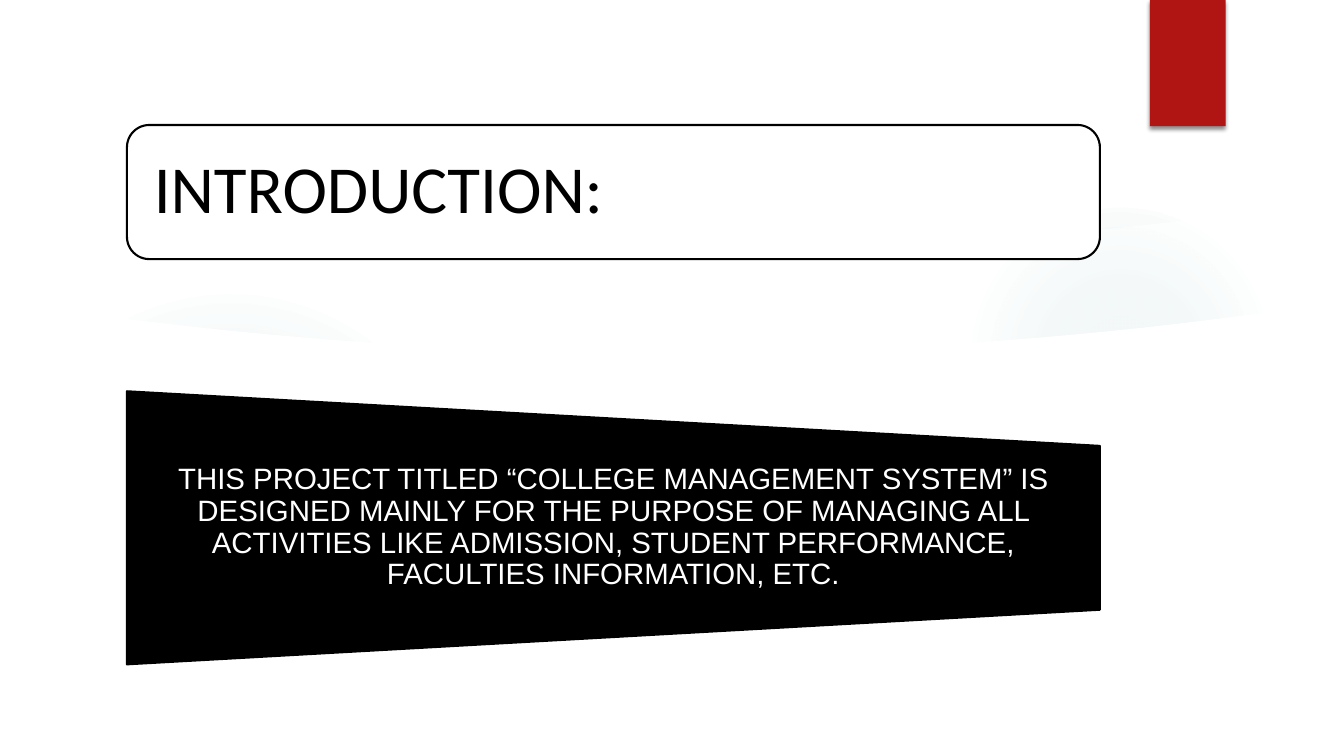
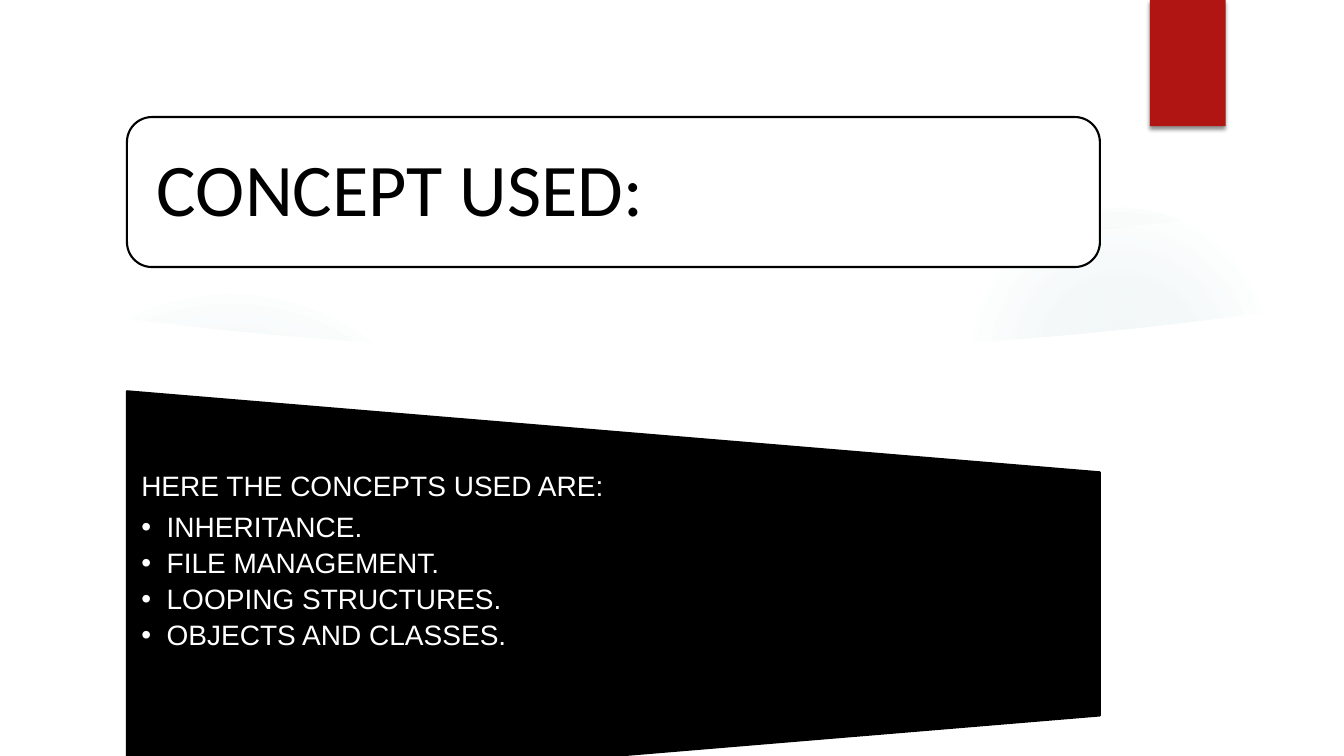
from pptx import Presentation, oxml
from pptx import util as u
from pptx.dml.color import RGBColor
from pptx.enum import shapes, text
from pptx.oxml.ns import nsdecls, qn

Cm, Pt = u.Cm, u.Pt
KIND = shapes.MSO_SHAPE
ALIGN = text.PP_ALIGN
ANCHOR = text.MSO_ANCHOR


class Theme:
    white = "FFFFFF"
    black = "000000"
    red = "B01513"
    teal = "5F9C9D"
    head = "Calibri"
    body = "Arial"
    edge = Pt(1.5)
    lead = 0.9
    after = {0: Pt(8), 1: Pt(4)}


PAGES = [
    {
        "title": "INTRODUCTION:",
        "size": 48,
        "frame": 3.38,
        "panel": 6.88,
        "pad": 0.38,
        "type": 21,
        "align": ALIGN.CENTER,
        "anchor": ANCHOR.MIDDLE,
        "lines": [
            (0, "THIS PROJECT TITLED “COLLEGE MANAGEMENT SYSTEM” IS DESIGNED "
                "MAINLY FOR THE PURPOSE OF MANAGING ALL ACTIVITIES LIKE ADMISSION, "
                "STUDENT PERFORMANCE, FACULTIES INFORMATION, ETC."),
        ],
    },
    {
        "title": "CONCEPT USED:",
        "size": 53,
        "frame": 3.78,
        "panel": 10.21,
        "pad": 0.36,
        "type": 20,
        "align": ALIGN.LEFT,
        "anchor": ANCHOR.TOP,
        "lines": [
            (0, "HERE THE CONCEPTS USED ARE:"),
            (1, "INHERITANCE."),
            (1, "FILE MANAGEMENT."),
            (1, "LOOPING STRUCTURES."),
            (1, "OBJECTS AND CLASSES."),
        ],
    },
]

WIDE, HIGH = 33.87, 19.05
LEFT, SPAN = 3.2, 24.52
HEAD_MID, PANEL_TOP = 4.84, 9.86
HANG = 0.64
GLOWS = [
    ((24.33, 5.08, 7.82), [(0, 7), (36, 6), (69, 0)]),
    ((0, 7.42, 11.63), [(0, 11), (36, 10), (75, 0)]),
]
WAVES = [5.2, 7.78]
SIDE, BASE, DIP, STEPS = 1.27, 17.78, 1.12, 40
RIBBON = (28.98, 0, 1.91, 3.18)


def put(obj, vals):
    for key, val in vals.items():
        setattr(obj, key, val)


def rgb(code):
    return RGBColor.from_string(code)


def paint(shape, fill, line=None):
    shape.shadow.inherit = False
    shape.fill.solid()
    shape.fill.fore_color.rgb = rgb(fill)
    if line:
        shape.line.color.rgb = rgb(line)
        shape.line.width = Theme.edge
    else:
        shape.line.fill.background()
    return shape


def draw(page, kind, box, fill, line=None):
    return paint(page.shapes.add_shape(kind, *map(Cm, box)), fill, line)


def glow(page, spot, stops):
    x, y, size = spot
    shape = draw(page, KIND.OVAL, (x, y, size, size), Theme.teal)
    marks = "".join(
        f'<a:gs pos="{pos * 1000}"><a:srgbClr val="{Theme.teal}">'
        f'<a:alpha val="{alpha * 1000}"/></a:srgbClr></a:gs>'
        for pos, alpha in stops
    )
    grad = oxml.parse_xml(
        f'<a:gradFill {nsdecls("a")} rotWithShape="1"><a:gsLst>{marks}</a:gsLst>'
        '<a:path path="circle"><a:fillToRect l="50000" t="50000" r="50000" b="50000"/>'
        '</a:path></a:gradFill>'
    )
    props = shape.element.spPr
    props.replace(props.find(qn("a:solidFill")), grad)
    return shape


def wave(page, top):
    half = WIDE / 2 - SIDE
    curve = []
    for i in range(STEPS + 1):
        t = 2 * i / STEPS - 1
        curve.append((Cm(WIDE / 2 + half * t), Cm(top + DIP * (1 - t * t))))
    pen = page.shapes.build_freeform(*curve[0])
    pen.add_line_segments(
        curve[1:] + [(Cm(WIDE - SIDE), Cm(BASE)), (Cm(SIDE), Cm(BASE))], close=True
    )
    return paint(pen.convert_to_shape(), Theme.white)


def ribbon(page):
    shape = draw(page, KIND.RECTANGLE, RIBBON, Theme.red)
    cast = oxml.parse_xml(
        f'<a:outerShdw {nsdecls("a")} blurRad="{Pt(3)}" dist="{Pt(2)}" dir="5400000" '
        f'rotWithShape="0"><a:srgbClr val="{Theme.black}"><a:alpha val="45000"/>'
        '</a:srgbClr></a:outerShdw>'
    )
    shape.element.spPr.find(qn("a:effectLst")).append(cast)
    return shape


def dress(page, layout):
    parts = []
    for top in WAVES:
        parts += [glow(page, *item) for item in GLOWS]
        parts.append(wave(page, top))
    rim = draw(page, KIND.FRAME, (0, 0, WIDE, HIGH), Theme.white)
    rim.adjustments[0] = 0.07
    parts += [rim, ribbon(page)]
    for num, part in enumerate(parts, 50):
        part.element.xpath(".//p:cNvPr")[0].set("id", str(num))
        layout.shapes.element.append(part.element)


def back(page, shape):
    page.shapes.element.insert(2, shape.element)


def place(shape, box, pads, anchor):
    put(shape, dict(zip(("left", "top", "width", "height"), map(Cm, box))))
    sides = ("margin_left", "margin_right", "margin_top", "margin_bottom")
    put(shape.text_frame, dict(zip(sides, map(Cm, pads))))
    put(shape.text_frame, {
        "word_wrap": True,
        "auto_size": text.MSO_AUTO_SIZE.NONE,
        "vertical_anchor": anchor,
    })


def write(para, line, align, face, size, tone):
    run = para.add_run()
    run.text = line
    put(para, {"alignment": align, "line_spacing": Theme.lead, "space_before": Pt(0)})
    put(run.font, {"name": face, "size": Pt(size)})
    run.font.color.rgb = rgb(tone)


def bullet(para, level):
    props = para._p.get_or_add_pPr()
    props.set("marL", str(Cm(HANG * level)))
    props.set("indent", str(-Cm(HANG * level)))
    tags = ['buFont typeface="Arial"', 'buChar char="•"'] if level else ["buNone"]
    for tag in tags:
        props.append(oxml.parse_xml(f'<a:{tag} {nsdecls("a")}/>'))


def heading(page, data):
    high = data["frame"]
    box = (LEFT, HEAD_MID - high / 2, SPAN, high)
    back(page, draw(page, KIND.ROUNDED_RECTANGLE, box, Theme.white, Theme.black))
    title = page.shapes.title
    place(title, box, [high / 5] * 4, ANCHOR.MIDDLE)
    write(title.text_frame.paragraphs[0], data["title"], ALIGN.LEFT,
          Theme.head, data["size"], Theme.black)


def content(page, data):
    high = data["panel"]
    shift = (SPAN - high) / 2
    panel = draw(page, KIND.FLOWCHART_MANUAL_OPERATION,
                 (LEFT + shift, PANEL_TOP - shift, high, SPAN),
                 Theme.black, Theme.black)
    panel.rotation = 270
    back(page, panel)
    body = page.placeholders[1]
    pad = data["pad"]
    place(body, (LEFT, PANEL_TOP + high / 5, SPAN, high * 0.6),
          (pad, pad, 0, 0), data["anchor"])
    frame = body.text_frame
    for i, (level, line) in enumerate(data["lines"]):
        para = frame.add_paragraph() if i else frame.paragraphs[0]
        write(para, line, data["align"], Theme.body, data["type"], Theme.white)
        put(para, {"level": level, "space_after": Theme.after[level]})
        bullet(para, level)


def main():
    deck = Presentation()
    put(deck, {"slide_width": Cm(WIDE), "slide_height": Cm(HIGH)})
    layout = deck.slide_layouts[1]
    for i, data in enumerate(PAGES):
        page = deck.slides.add_slide(layout)
        if not i:
            dress(page, layout)
        heading(page, data)
        content(page, data)
    deck.save("out.pptx")


if __name__ == "__main__":
    main()
